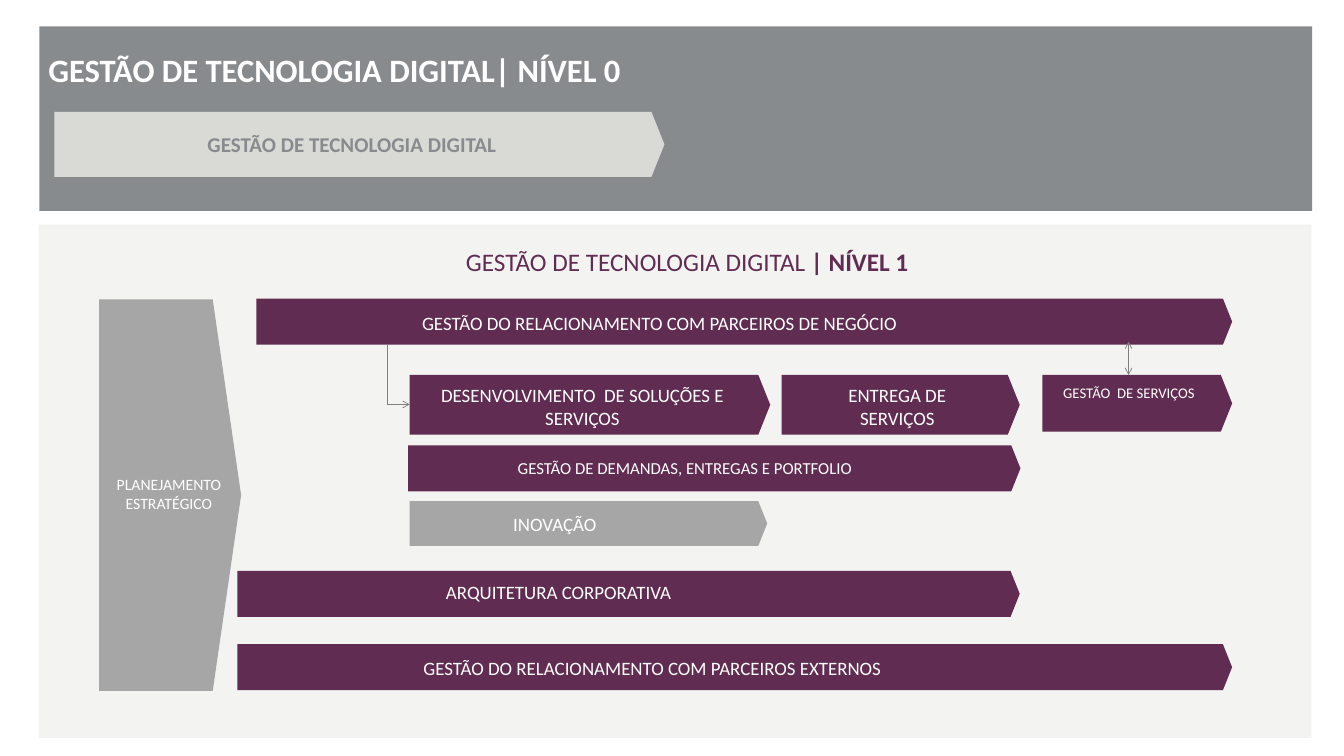
from lxml import etree
from pptx import Presentation
from pptx.dml.color import RGBColor
from pptx.enum import shapes, text
from pptx.oxml import ns
from pptx.util import Inches, Pt

FONT = "Calibri"
PLUM = RGBColor(0x61, 0x2C, 0x51)
SLATE = RGBColor(0x88, 0x8B, 0x8D)
STONE = RGBColor(0xD9, 0xD9, 0xD6)
GREY = RGBColor(0xA6, 0xA6, 0xA6)
LINE_GREY = RGBColor(0x7F, 0x7F, 0x7F)
WHITE = RGBColor(0xFF, 0xFF, 0xFF)
TIP_RATIO = 0.2
LEVEL_1_BOX = (0.51, 2.97, 16.84, 6.79)
LEVEL_0_BOX = (0.52, 0.35, 16.84, 2.44)

# fill, (left, top, width, height), caption, size, caption (left, top, width, height)
PROCESSES = [
    (PLUM, (2.88, 0.98, 12.91, 0.61), "GESTÃO DO RELACIONAMENTO COM PARCEIROS DE NEGÓCIO", 18, (2.88, 1.1, 10.67, 0.4)),
    (PLUM, (4.91, 1.99, 4.77, 0.79), "DESENVOLVIMENTO  DE SOLUÇÕES E SERVIÇOS", 18, (5.05, 2.06, 4.29, 0.7)),
    (PLUM, (9.83, 1.99, 3.15, 0.79), "ENTREGA DE SERVIÇOS", 18, (10.13, 2.06, 2.46, 0.7)),
    (PLUM, (13.28, 1.99, 2.51, 0.75), "GESTÃO  DE SERVIÇOS", 14, (13.38, 2.06, 2.09, 0.57)),
    (PLUM, (4.89, 2.92, 8.1, 0.61), "GESTÃO DE DEMANDAS, ENTREGAS E PORTFOLIO ", 16, (5.05, 3.03, 7.05, 0.37)),
    (GREY, (4.91, 3.66, 4.73, 0.59), "INOVAÇÃO", 18, (5.01, 3.76, 3.64, 0.4)),
    (PLUM, (2.63, 4.58, 10.35, 0.61), "ARQUITETURA CORPORATIVA", 18, (2.68, 4.66, 8.4, 0.4)),
    (PLUM, (2.63, 5.55, 13.16, 0.61), "GESTÃO DO RELACIONAMENTO COM PARCEIROS EXTERNOS", 18, (2.68, 5.67, 10.88, 0.4)),
    (GREY, (0.8, 0.99, 1.88, 5.18), "PLANEJAMENTO ESTRATÉGICO", 15, (0.82, 3.26, 1.81, 0.6)),
]


def inside(panel, box):
    """Turn a box relative to a panel into slide lengths."""
    left, top, width, height = box
    return [Inches(n) for n in (panel[0] + left, panel[1] + top, width, height)]


def add_block(slide, kind, place, color):
    """Add a flat preset shape without outline."""
    block = slide.shapes.add_shape(kind, *place)
    block.shadow.inherit = False
    block.fill.solid()
    block.fill.fore_color.rgb = color
    block.line.fill.background()
    return block


def add_caption(slide, place, runs, size, color, centred=True, inset=None):
    """Add one paragraph of (words, bold) runs; an inset also centres it vertically."""
    frame = slide.shapes.add_textbox(*place).text_frame
    frame.word_wrap = True
    if inset is not None:
        frame.vertical_anchor = text.MSO_ANCHOR.MIDDLE
        for side in ("left", "top", "right", "bottom"):
            setattr(frame, f"margin_{side}", Inches(inset))
    paragraph = frame.paragraphs[0]
    paragraph.alignment = text.PP_ALIGN.CENTER if centred else text.PP_ALIGN.LEFT
    for words, bold in runs:
        run = paragraph.add_run()
        run.text = words
        for name, value in {"name": FONT, "size": Pt(size), "bold": bold}.items():
            setattr(run.font, name, value)
        run.font.color.rgb = color


def add_process(slide, panel, color, box, words, size, caption_box, ink=WHITE, bold=False):
    """Add a process arrow and its caption."""
    arrow = add_block(slide, shapes.MSO_SHAPE.PENTAGON, inside(panel, box), color)
    arrow.adjustments[0] = TIP_RATIO
    add_caption(slide, inside(panel, caption_box), [(words, bold)], size, ink)


def add_link(slide, panel, kind, start, end, heads):
    """Add a thin grey connector with open arrowheads."""
    ends = [Inches(panel[i] + point[i]) for point in (start, end) for i in (0, 1)]
    link = slide.shapes.add_connector(kind, *ends)
    link.line.color.rgb = LINE_GREY
    link.line.width = Pt(0.75)
    for head in heads:
        etree.SubElement(link.line._get_or_add_ln(), ns.qn(f"a:{head}")).set("type", "arrow")
    etree.SubElement(link._element.spPr, ns.qn("a:effectLst"))
    return link


def add_corner_link(slide, panel, start, end):
    """Add a connector that goes down and then right, as a turned single bend."""
    middle = [(a + b) / 2 for a, b in zip(start, end)]
    half_run, half_rise = (end[1] - start[1]) / 2, (end[0] - start[0]) / 2
    link = add_link(slide, panel, shapes.MSO_CONNECTOR.ELBOW,
                    (middle[0] - half_run, middle[1] - half_rise),
                    (middle[0] + half_run, middle[1] + half_rise), ["tailEnd"])
    properties = link._element.spPr
    properties.find(ns.qn("a:prstGeom")).set("prst", "bentConnector2")
    for name, value in {"rot": "16200000", "flipH": "1"}.items():
        properties.find(ns.qn("a:xfrm")).set(name, value)


def add_level_0(slide, panel):
    """Place the header band with its title and overall process."""
    add_block(slide, shapes.MSO_SHAPE.RECTANGLE, inside(panel, (0, 0, *panel[2:])), SLATE)
    add_process(slide, panel, STONE, (0.2, 1.13, 8.07, 0.86), "GESTÃO DE TECNOLOGIA DIGITAL",
                20, (0.2, 1.34, 7.87, 0.43), SLATE, True)
    add_caption(slide, inside(panel, (0.12, 0.12, 16.52, 0.9)),
                [("GESTÃO DE TECNOLOGIA DIGITAL| NÍVEL 0", True)], 31, WHITE, False, 0)


def add_level_1(slide, panel):
    """Place the map of processes with its title and links."""
    ground = add_block(slide, shapes.MSO_SHAPE.RECTANGLE, inside(panel, (0, 0, *panel[2:])), STONE)
    tint = ground._element.spPr.find(f".//{ns.qn('a:srgbClr')}")
    etree.SubElement(tint, ns.qn("a:alpha")).set("val", "31000")
    add_caption(slide, inside(panel, (0.31, 0.04, 16.54, 0.9)),
                [("GESTÃO DE TECNOLOGIA DIGITAL ", False), ("| NÍVEL 1", True)], 24, PLUM, inset=0.06)
    for process in PROCESSES:
        add_process(slide, panel, *process)
    add_corner_link(slide, panel, (4.62, 1.59), (4.91, 2.38))
    add_link(slide, panel, shapes.MSO_CONNECTOR.STRAIGHT, (14.42, 1.99), (14.42, 1.55),
             ["headEnd", "tailEnd"])


def main():
    """Build and save the slide."""
    deck = Presentation()
    deck.slide_width, deck.slide_height = Inches(17.78), Inches(10)
    slide = deck.slides.add_slide(deck.slide_layouts[6])
    add_level_1(slide, LEVEL_1_BOX)
    add_level_0(slide, LEVEL_0_BOX)
    deck.save("out.pptx")


if __name__ == "__main__":
    main()
